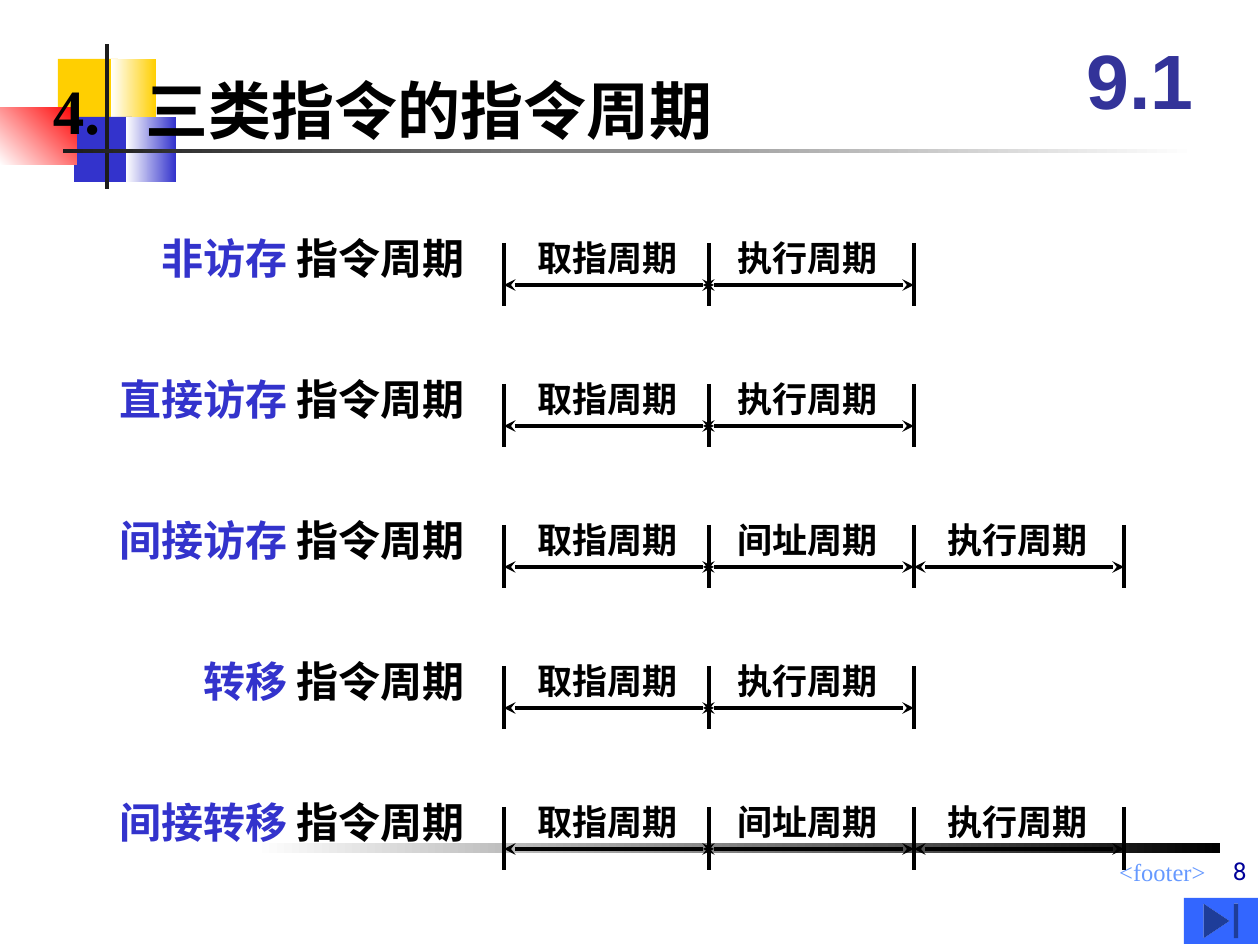
from lxml import etree
from pptx import Presentation
from pptx.dml.color import RGBColor
from pptx.enum.shapes import MSO_CONNECTOR, MSO_SHAPE
from pptx.enum.text import MSO_ANCHOR, MSO_AUTO_SIZE, PP_ALIGN
from pptx.oxml.ns import qn
from pptx.util import Emu, Pt

PX = 914400 // 126

BLACK = RGBColor(0x00, 0x00, 0x00)
WHITE = RGBColor(0xFF, 0xFF, 0xFF)
CHARCOAL = RGBColor(0x1C, 0x1C, 0x1C)
YELLOW = RGBColor(0xFF, 0xCF, 0x01)
BLUE = RGBColor(0x33, 0x33, 0xCC)
RED = RGBColor(0xFF, 0x00, 0x00)
INDIGO = RGBColor(0x33, 0x33, 0x99)
NAVY = RGBColor(0x00, 0x00, 0x99)
SKY = RGBColor(0x66, 0x99, 0xFF)
BUTTON = RGBColor(0x33, 0x66, 0xFF)
SERIF = "Times New Roman"

# Timelines: tick columns, arrow spans and label positions
TICKS = (504, 709, 914, 1124)
SPANS = ((504, 714), (703, 914), (914, 1124))
LABEL_LEFTS = (525, 725, 935)
FIRST_ROW, ROW_PITCH = 243, 141
TICK_HEIGHT, ARROW_DROP = 63, 42

FETCH, INDIRECT, EXECUTE = "取指周期", "间址周期", "执行周期"
ROWS = (
    ("非访存", (FETCH, EXECUTE)),
    ("直接访存", (FETCH, EXECUTE)),
    ("间接访存", (FETCH, INDIRECT, EXECUTE)),
    ("转移", (FETCH, EXECUTE)),
    ("间接转移", (FETCH, INDIRECT, EXECUTE)),
)


def px(*values):
    return [Emu(v * PX) for v in values]


def add_block(slide, box, color, end=None, angle=180, kind=MSO_SHAPE.RECTANGLE):
    """Borderless shape, solid or fading from color to end."""
    sp = slide.shapes.add_shape(kind, *px(*box))
    sp.shadow.inherit = False
    sp.line.fill.background()
    if end is None:
        sp.fill.solid()
        sp.fill.fore_color.rgb = color
        return
    sp.fill.gradient()
    sp.fill.gradient_angle = angle
    for stop, rgb, position in zip(sp.fill.gradient_stops, (color, end), (0, 1)):
        stop.color.rgb = rgb
        stop.position = position


def add_text(slide, box, runs, size, font=SERIF, bold=True, align=PP_ALIGN.LEFT,
             anchor=MSO_ANCHOR.TOP, wrap=False, side_inset=None, tab=None):
    """Text box of one paragraph; runs are (text, color) pairs."""
    sp = slide.shapes.add_textbox(*px(*box))
    tf = sp.text_frame
    tf.word_wrap = wrap
    tf.auto_size = MSO_AUTO_SIZE.NONE
    tf.vertical_anchor = anchor
    if side_inset is not None:
        tf.margin_left = tf.margin_right = side_inset
    p = tf.paragraphs[0]
    p.alignment = align
    if tab is not None:
        tabs = etree.SubElement(p._p.get_or_add_pPr(), qn("a:tabLst"))
        etree.SubElement(tabs, qn("a:tab"), pos=str(tab * PX), algn="l")
    for text, color in runs:
        r = p.add_run()
        r.text = text
        r.font.size = Pt(size)
        r.font.name = font
        r.font.bold = bold
        r.font.color.rgb = color


def add_line(slide, x1, y1, x2, y2, arrows=False):
    line = slide.shapes.add_connector(MSO_CONNECTOR.STRAIGHT, *px(x1, y1, x2, y2))
    line.line.color.rgb = BLACK
    line.line.width = Pt(2.25)
    if arrows:
        ln = line.line._get_or_add_ln()
        for end in ("a:headEnd", "a:tailEnd"):
            etree.SubElement(ln, qn(end), type="stealth")
    etree.SubElement(line._element.spPr, qn("a:effectLst"))


def add_timeline(slide, top, name, cycles):
    """Row label, then one double arrow per cycle between ticks."""
    width = 202 + 42 * len(name)
    add_text(slide, (477 - width, top - 17, width, 63),
             [(name + " ", BLUE), ("指令周期", BLACK)], 24)
    for x in TICKS[:len(cycles) + 1]:
        add_line(slide, x, top, x, top + TICK_HEIGHT)
    for cycle, (start, end), left in zip(cycles, SPANS, LABEL_LEFTS):
        add_line(slide, start, top + ARROW_DROP, end, top + ARROW_DROP, arrows=True)
        add_text(slide, (left, top - 13, 165, 55), [(cycle, BLACK)], 20)


def add_decoration(slide):
    add_block(slide, (58, 59, 60, 66), YELLOW)
    add_block(slide, (111, 59, 45, 66), WHITE, YELLOW, angle=0)
    add_block(slide, (74, 117, 58, 65), BLUE)
    add_block(slide, (126, 117, 50, 65), WHITE, BLUE, angle=0)
    add_block(slide, (0, 107, 77, 58), RED, WHITE, angle=225)
    add_block(slide, (105, 44, 4, 145), CHARCOAL)
    add_block(slide, (63, 149, 1134, 4), WHITE, CHARCOAL)
    add_block(slide, (254, 843, 966, 10), BLACK, WHITE)


def main():
    prs = Presentation()
    prs.slide_width, prs.slide_height = px(1260, 945)
    slide = prs.slides.add_slide(prs.slide_layouts[6])

    # Background ornament and footer
    add_decoration(slide)
    add_text(slide, (494, 851, 724, 33), [("<footer>", SKY)], 14, bold=False,
             align=PP_ALIGN.RIGHT, wrap=True)

    # Title and section number
    add_text(slide, (53, 73, 496, 73), [("4.\t三类指令的指令周期", BLACK)], 36,
             anchor=MSO_ANCHOR.MIDDLE, side_inset=0, tab=93)
    add_text(slide, (1061, 21, 158, 116), [("9.1", INDIGO)], 44, font="Arial",
             align=PP_ALIGN.CENTER, anchor=MSO_ANCHOR.MIDDLE, wrap=True)

    # Instruction cycles
    for i, (name, cycles) in enumerate(ROWS):
        add_timeline(slide, FIRST_ROW + i * ROW_PITCH, name, cycles)

    # Navigation button and page number
    add_block(slide, (1184, 898, 74, 46), BUTTON, kind=MSO_SHAPE.ACTION_BUTTON_END)
    add_text(slide, (656, 829, 603, 63), [("8", NAVY)], 14, font="Roboto", bold=False,
             align=PP_ALIGN.RIGHT, anchor=MSO_ANCHOR.BOTTOM, wrap=True)

    prs.save("out.pptx")


if __name__ == "__main__":
    main()
